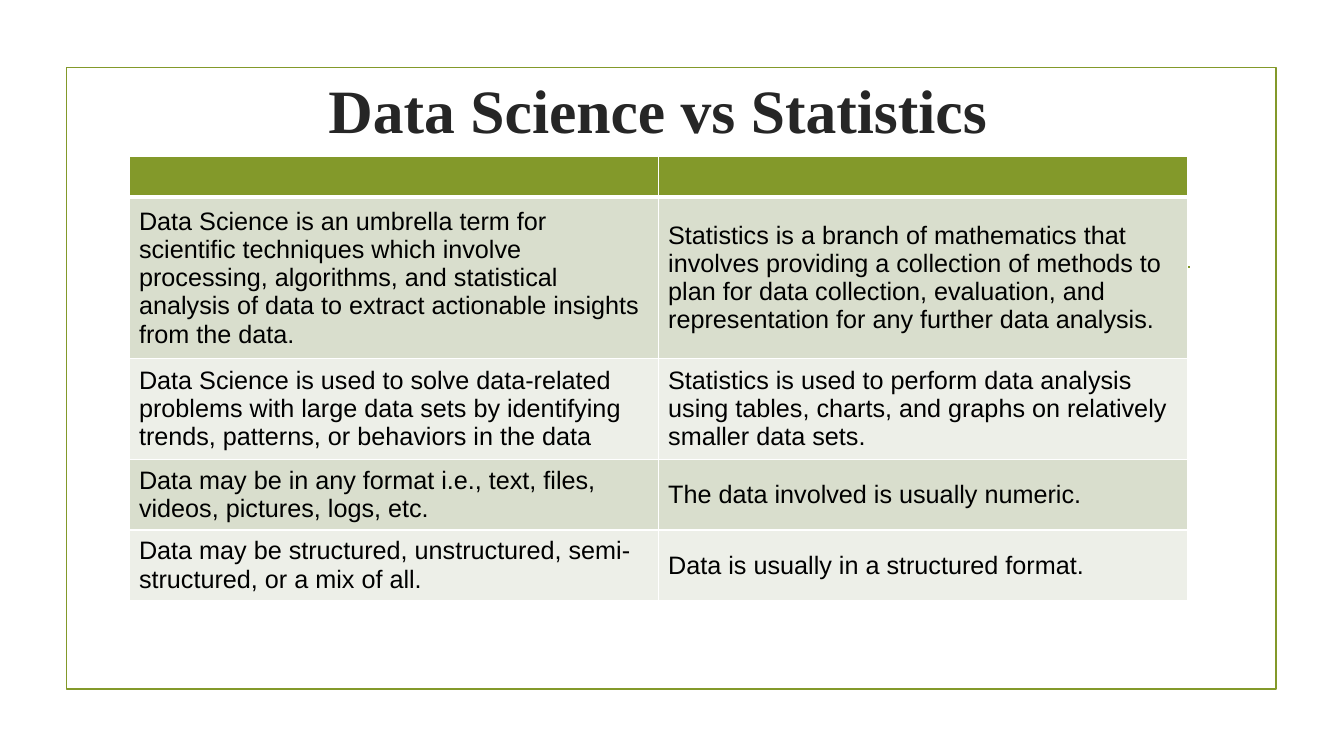
from dataclasses import dataclass

from lxml.etree import SubElement
from pptx import Presentation
from pptx.dml.color import RGBColor
from pptx.enum.shapes import MSO_CONNECTOR, MSO_SHAPE
from pptx.enum.text import MSO_ANCHOR, PP_ALIGN
from pptx.oxml import parse_xml
from pptx.oxml.ns import nsdecls, qn
from pptx.util import Cm, Pt


@dataclass(frozen=True)
class Theme:
    accent: str = "83992A"
    title_color: str = "262626"
    body_color: str = "000000"
    border: str = "FFFFFF"
    bands: tuple = ("D9DECD", "EDEFE8")
    title_font: str = "Times New Roman"
    body_font: str = "Arial"
    title_size: int = 44
    body_size: int = 18
    line_width: float = 1.25
    border_width: int = 1
    header_border_width: int = 3


COMPARISON = [
    ("Data Science is an umbrella term for scientific techniques which involve processing, "
     "algorithms, and statistical analysis of data to extract actionable insights from the data.",
     "Statistics is a branch of mathematics that involves providing a collection of methods to "
     "plan for data collection, evaluation, and representation for any further data analysis."),
    ("Data Science is used to solve data-related problems with large data sets by identifying "
     "trends, patterns, or behaviors in the data",
     "Statistics is used to perform data analysis using tables, charts, and graphs on relatively "
     "smaller data sets."),
    ("Data may be in any format i.e., text, files, videos, pictures, logs, etc.",
     "The data involved is usually numeric."),
    ("Data may be structured, unstructured, semi-structured, or a mix of all.",
     "Data is usually in a structured format."),
]
ROW_HEIGHTS = [1.03, 3.81, 2.41, 1.69, 1.69]


def write_text(frame, text, *, font, size, color, bold=False, align=PP_ALIGN.LEFT):
    frame.word_wrap = True
    paragraph = frame.paragraphs[0]
    paragraph.alignment = align
    paragraph.font.size = Pt(size)
    if not text:
        return
    run = paragraph.add_run()
    run.text = text
    run.font.name = font
    run.font.size = Pt(size)
    run.font.bold = bold
    run.font.color.rgb = RGBColor.from_string(color)


def set_borders(cell, color, widths):
    """Draw the left, right, top and bottom borders, with widths in points."""
    properties = cell._tc.get_or_add_tcPr()
    for index, (side, width) in enumerate(zip("LRTB", widths)):
        properties.insert(index, parse_xml(
            f'<a:ln{side} {nsdecls("a")} w="{Pt(width)}"><a:solidFill>'
            f'<a:srgbClr val="{color}"/></a:solidFill></a:ln{side}>'))


class SlideBuilder:
    def __init__(self, slide, theme):
        self.slide = slide
        self.theme = theme

    def style_line(self, line):
        line.color.rgb = RGBColor.from_string(self.theme.accent)
        line.width = Pt(self.theme.line_width)

    def add_frame(self, left, top, width, height):
        shape = self.slide.shapes.add_shape(
            MSO_SHAPE.RECTANGLE, Cm(left), Cm(top), Cm(width), Cm(height))
        shape.shadow.inherit = False
        shape.fill.background()
        self.style_line(shape.line)

    def add_rule(self, left, right, top):
        connector = self.slide.shapes.add_connector(
            MSO_CONNECTOR.STRAIGHT, Cm(left), Cm(top), Cm(right), Cm(top))
        self.style_line(connector.line)
        SubElement(connector._element.spPr, qn("a:effectLst"))

    def add_title(self, text, left, top, width, height):
        frame = self.slide.shapes.add_textbox(
            Cm(left), Cm(top), Cm(width), Cm(height)).text_frame
        frame.vertical_anchor = MSO_ANCHOR.MIDDLE
        write_text(frame, text, font=self.theme.title_font, size=self.theme.title_size,
                   color=self.theme.title_color, bold=True, align=PP_ALIGN.CENTER)

    def add_comparison(self, rows, heights, left, top, width):
        """Add a banded table whose first row is an empty header."""
        theme = self.theme
        rows = [("",) * len(rows[0]), *rows]
        table = self.slide.shapes.add_table(
            len(rows), len(rows[0]), Cm(left), Cm(top), Cm(width), Cm(sum(heights))).table
        for row_index, texts in enumerate(rows):
            table.rows[row_index].height = Cm(heights[row_index])
            fill = theme.bands[(row_index - 1) % 2] if row_index else theme.accent
            thin, thick = theme.border_width, theme.header_border_width
            widths = (thin, thin, thick if row_index == 1 else thin,
                      thick if row_index == 0 else thin)
            for column_index, text in enumerate(texts):
                cell = table.cell(row_index, column_index)
                cell.vertical_anchor = MSO_ANCHOR.MIDDLE
                cell.fill.solid()
                cell.fill.fore_color.rgb = RGBColor.from_string(fill)
                set_borders(cell, theme.border, widths)
                write_text(cell.text_frame, text, font=theme.body_font,
                           size=theme.body_size, color=theme.body_color)


def main():
    presentation = Presentation()
    presentation.slide_width = Cm(33.87)
    presentation.slide_height = Cm(19.05)
    slide = presentation.slides.add_slide(presentation.slide_layouts[6])
    builder = SlideBuilder(slide, Theme())
    builder.add_frame(1.68, 1.7, 30.48, 15.67)
    builder.add_rule(3.89, 30, 6.73)
    builder.add_title("Data Science vs Statistics", 3.25, 1.57, 26.67, 2.36)
    builder.add_comparison(COMPARISON, ROW_HEIGHTS, 3.25, 3.94, 26.67)
    presentation.save("out.pptx")


if __name__ == "__main__":
    main()
